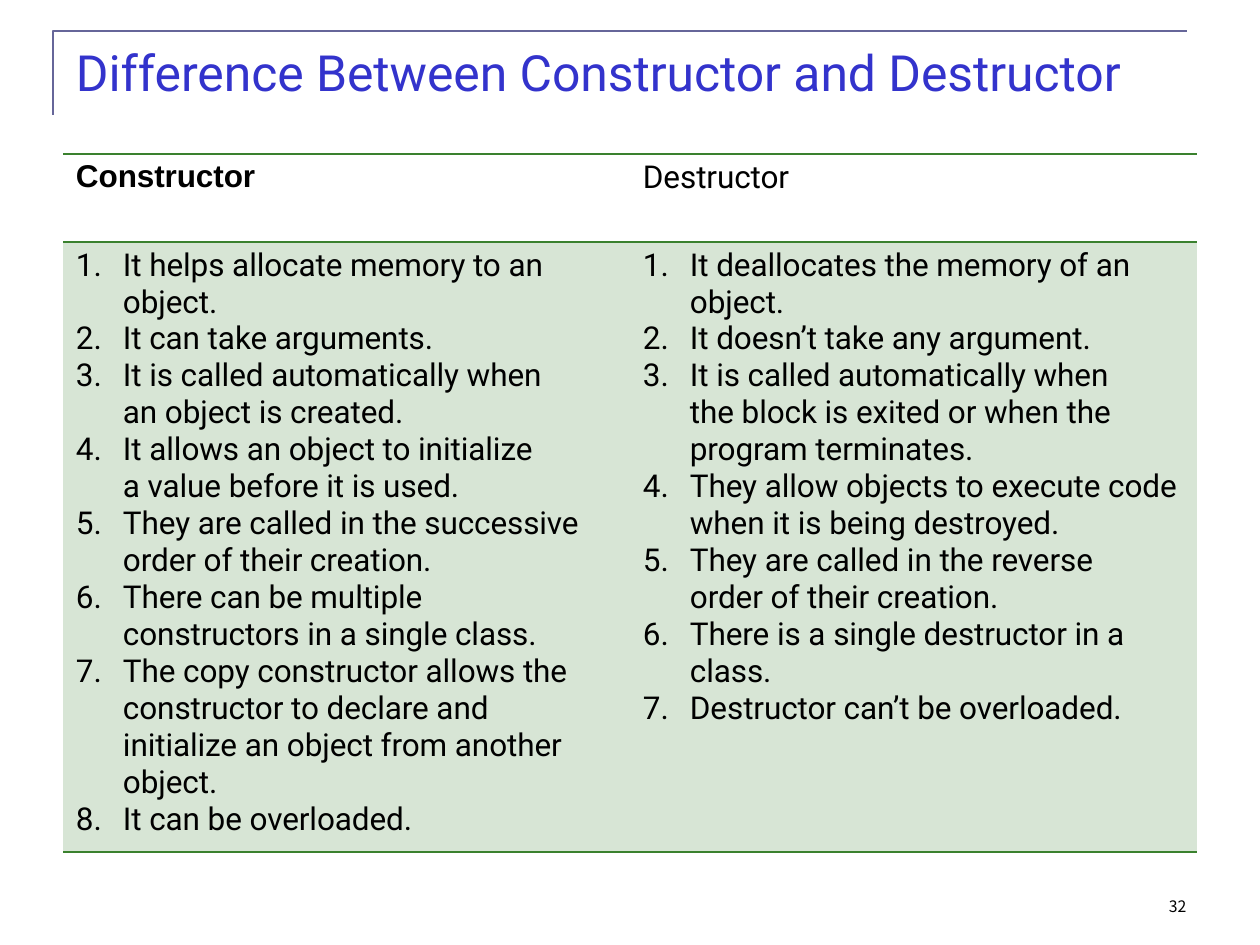
from dataclasses import dataclass

from lxml import etree
from pptx import Presentation, util as u
from pptx.dml.color import RGBColor
from pptx.enum import text
from pptx.oxml.ns import qn

PLAIN_TABLE_STYLE = "{2D5ABB26-0587-4C30-8999-92F81FD0307C}"


@dataclass(frozen=True)
class Theme:
    title: str = "3333CC"
    frame: str = "666699"
    rule: str = "3A812E"
    band: str = "D7E5D5"
    ink: str = "000000"
    font: str = "Roboto"
    head_font: str = "Arial"
    number_font: str = "Noto Sans CJK TC"
    title_size: float = 28.5
    body_size: float = 18
    number_size: float = 9


THEME = Theme()

COLUMNS = [
    dict(width=562, pad=13, head="Constructor", font=THEME.head_font, bold=True, points=[
        "It helps allocate memory to an object.",
        "It can take arguments.",
        "It is called automatically when\nan object is created.",
        "It allows an object to initialize\na value before it is used.",
        "They are called in the successive order of their creation.",
        "There can be multiple\nconstructors in a single class.",
        "The copy constructor allows the constructor to declare and\n"
        "initialize an object from another object.",
        "It can be overloaded.",
    ]),
    dict(width=572, pad=18, head="Destructor", font=THEME.font, bold=False, points=[
        "It deallocates the memory of an object.",
        "It doesn’t take any argument.",
        "It is called automatically when\nthe block is exited or when the program terminates.",
        "They allow objects to execute code when it is being destroyed.",
        "They are called in the reverse\norder of their creation.",
        "There is a single destructor in a class.",
        "Destructor can’t be overloaded.",
    ]),
]


def px(n):
    return u.Emu(round(n * 914400 / 126))


def rgb(value):
    return RGBColor.from_string(value)


def write(p, content, *, size, font=THEME.font, color=THEME.ink, bold=False,
          before=0, spacing=None, track=0):
    """Fill a paragraph; a newline in the content becomes a line break."""
    p.space_before = u.Pt(before)
    if spacing:
        p.line_spacing = u.Pt(spacing)
    for i, line in enumerate(content.split("\n")):
        if i:
            p.add_line_break()
        r = p.add_run()
        r.text = line
        r.font.size, r.font.name, r.font.bold = u.Pt(size), font, bold
        r.font.color.rgb = rgb(color)
        if track:
            r.font._element.set("spc", str(track))


def add_text(slide, box, content, **style):
    tf = slide.shapes.add_textbox(*map(px, box)).text_frame
    tf.word_wrap = True
    tf.margin_left = tf.margin_right = tf.margin_top = tf.margin_bottom = 0
    write(tf.paragraphs[0], content, **style)


def number(p, hang):
    pPr = p._p.get_or_add_pPr()
    pPr.set("marL", str(px(hang)))
    pPr.set("indent", str(-px(hang)))
    etree.SubElement(pPr, qn("a:buAutoNum"), type="arabicPeriod")


def rule_cell(cell):
    """Draw the top and bottom borders of a cell."""
    tcPr = cell._tc.get_or_add_tcPr()
    for i, side in enumerate(("a:lnT", "a:lnB")):
        ln = etree.Element(qn(side), w=str(u.Pt(1)))
        fill = etree.SubElement(ln, qn("a:solidFill"))
        etree.SubElement(fill, qn("a:srgbClr"), val=THEME.rule)
        tcPr.insert(i, ln)


def add_heading(slide, x, y, w, h):
    pen = slide.shapes.build_freeform(px(x), px(y + h), scale=1.0)
    pen.add_line_segments([(px(x), px(y)), (px(x + w), px(y))], close=False)
    sp = pen.convert_to_shape()
    sp.shadow.inherit = False
    sp.fill.background()
    sp.line.color.rgb, sp.line.width = rgb(THEME.frame), u.Pt(1.5)
    add_text(slide, (x + 23, y + 11, w - 78, 63),
             "Difference Between Constructor and Destructor",
             size=THEME.title_size, color=THEME.title, before=1.1)


def add_comparison(slide, x, y, w, h, head_height=88):
    table = slide.shapes.add_table(2, len(COLUMNS), px(x), px(y), px(w), px(h)).table
    table.first_row = table.horz_banding = False
    table._tbl.tblPr.find(qn("a:tableStyleId")).text = PLAIN_TABLE_STYLE
    table.rows[0].height, table.rows[1].height = px(head_height), px(h - head_height)

    for i, column in enumerate(COLUMNS):
        table.columns[i].width = px(column["width"])
        head, body = table.cell(0, i), table.cell(1, i)
        for cell in (head, body):
            cell.margin_left, cell.margin_top = px(column["pad"]), px(5)
            cell.margin_right = cell.margin_bottom = 0
        head.fill.background()
        body.fill.solid()
        body.fill.fore_color.rgb = rgb(THEME.band)
        rule_cell(head)
        rule_cell(body)

        write(head.text_frame.paragraphs[0], column["head"], size=THEME.body_size,
              font=column["font"], bold=column["bold"], before=3.1, track=-5)
        tf = body.text_frame
        for n, point in enumerate(column["points"]):
            p = tf.add_paragraph() if n else tf.paragraphs[0]
            write(p, point, size=THEME.body_size, before=0 if n else 3.1, track=-5)
            number(p, hang=47)


def add_page_number(slide, x, y, w, h):
    add_text(slide, (x, y, w, h), "32", size=THEME.number_size,
             font=THEME.number_font, spacing=10.6, track=-5)


def main():
    prs = Presentation()
    prs.slide_width, prs.slide_height = px(1260), px(945)
    slide = prs.slides.add_slide(prs.slide_layouts[6])
    add_heading(slide, 53, 31, 1134, 84)
    add_comparison(slide, 63, 154, 1134, 698)
    add_page_number(slide, 1169, 897, 25, 21)
    prs.save("out.pptx")


if __name__ == "__main__":
    main()
